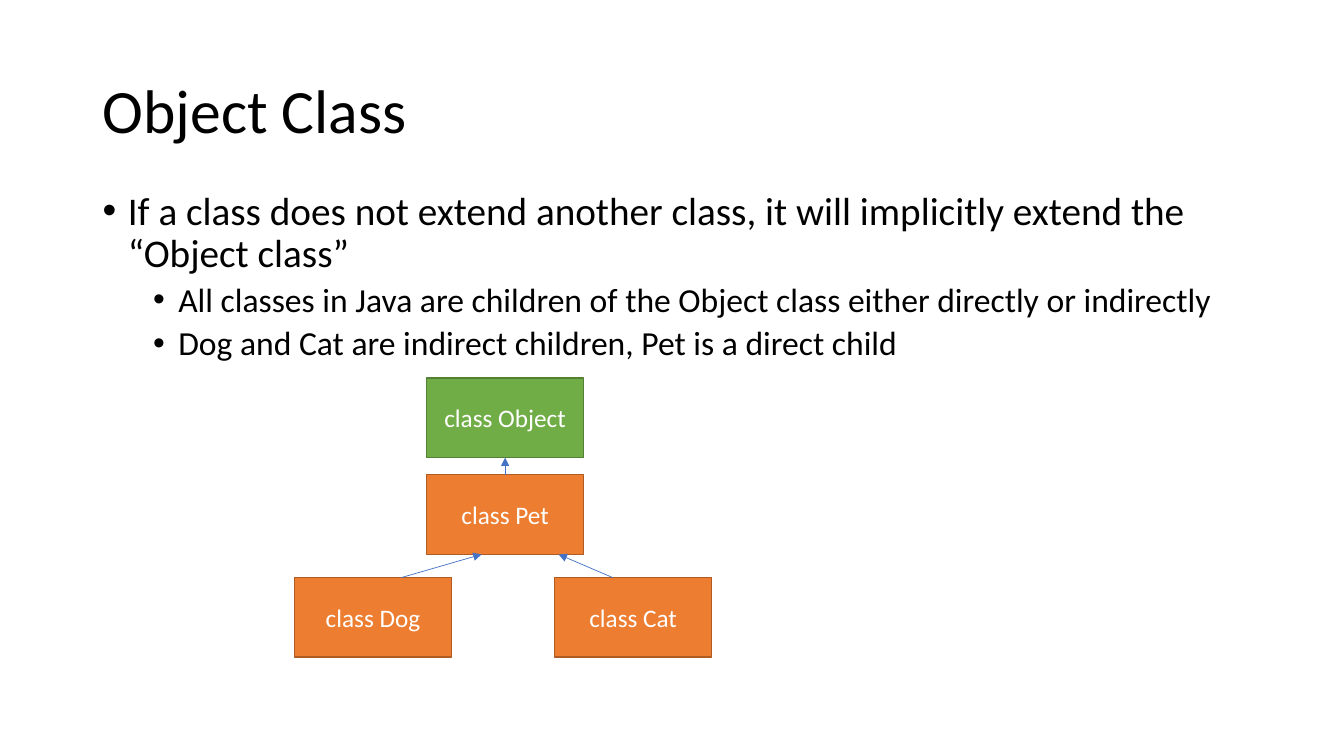
"""Build a slide on the Object class with a small inheritance diagram."""
from lxml.etree import SubElement
from pptx import Presentation
from pptx.dml.color import RGBColor
from pptx.enum.shapes import MSO_CONNECTOR as Connector, MSO_SHAPE as Shape
from pptx.enum.text import MSO_ANCHOR as Anchor, PP_ALIGN as Align
from pptx.oxml.ns import qn
from pptx.util import Inches, Pt


def color(hex_text):
    return RGBColor.from_string(hex_text)


def style(para, size, hex_text):
    for span in para.runs:
        span.font.name = "Calibri"
        span.font.size = Pt(size)
        span.font.color.rgb = color(hex_text)


deck = Presentation()
deck.slide_width, deck.slide_height = Inches(13.33), Inches(7.5)
page = deck.slides.add_slide(deck.slide_layouts[6])

MARGIN, TEXT_WIDTH = Inches(0.92), Inches(11.5)
TITLE_TOP, BODY_TOP = Inches(0.4), Inches(1.85)

title = page.shapes.add_textbox(MARGIN, TITLE_TOP, TEXT_WIDTH, BODY_TOP - TITLE_TOP)
title.text_frame.word_wrap = True
title.text_frame.vertical_anchor = Anchor.MIDDLE
title.text_frame.text = "Object Class"
heading = title.text_frame.paragraphs[0]
heading.line_spacing = 0.9
style(heading, 44, "000000")

bullets = [
    (0, "If a class does not extend another class, it will implicitly extend the “Object class”"),
    (1, "All classes in Java are children of the Object class either directly or indirectly"),
    (1, "Dog and Cat are indirect children, Pet is a direct child"),
]
body = page.shapes.add_textbox(MARGIN, BODY_TOP, TEXT_WIDTH, Inches(4.76))
body.text_frame.word_wrap = True
body.text_frame.text = "\n".join(text for level, text in bullets)
for para, (level, text) in zip(body.text_frame.paragraphs, bullets):
    para.level = level
    para.line_spacing = 0.9
    para.space_before = Pt(5 if level else 10)
    style(para, 24 if level else 28, "000000")
    properties = para._p.get_or_add_pPr()
    properties.set("marL", str(Inches(0.25 + 0.5 * level)))
    properties.set("indent", str(Inches(-0.25)))
    SubElement(properties, qn("a:buFont"), typeface="Arial")
    SubElement(properties, qn("a:buChar"), char="•")

BOX_WIDTH, BOX_HEIGHT = Inches(1.56), Inches(0.79)
ORANGE, GREEN = ("ED7D31", "AF5C24"), ("70AD47", "538035")
classes = [
    ("Pet", 4.23, 4.71, ORANGE),
    ("Object", 4.23, 3.75, GREEN),
    ("Cat", 5.5, 5.73, ORANGE),
    ("Dog", 2.92, 5.73, ORANGE),
]
boxes = {}
for name, left, top, (fill, outline) in classes:
    box = page.shapes.add_shape(Shape.RECTANGLE, Inches(left), Inches(top), BOX_WIDTH, BOX_HEIGHT)
    box.shadow.inherit = False
    box.fill.solid()
    box.fill.fore_color.rgb = color(fill)
    box.line.color.rgb = color(outline)
    box.line.width = Pt(1)
    box.text_frame.word_wrap = True
    box.text_frame.vertical_anchor = Anchor.MIDDLE
    box.text_frame.text = f"class {name}"
    label = box.text_frame.paragraphs[0]
    label.alignment = Align.CENTER
    style(label, 18, "FFFFFF")
    boxes[name] = box

links = [
    ("Pet", 0.5, "Object", 0.5),
    ("Dog", 0.68, "Pet", 0.35),
    ("Cat", 0.37, "Pet", 0.84),
]
for child, child_share, parent, parent_share in links:
    lower, upper = boxes[child], boxes[parent]
    arrow = page.shapes.add_connector(
        Connector.STRAIGHT,
        lower.left + int(child_share * BOX_WIDTH), lower.top,
        upper.left + int(parent_share * BOX_WIDTH), upper.top + BOX_HEIGHT,
    )
    if child_share == parent_share == 0.5:
        arrow.begin_connect(lower, 0)
        arrow.end_connect(upper, 2)
    arrow.line.color.rgb = color("4472C4")
    arrow.line.width = Pt(0.5)
    SubElement(arrow.line._get_or_add_ln(), qn("a:tailEnd"), type="triangle")
    SubElement(arrow._element.spPr, qn("a:effectLst"))

deck.save("out.pptx")
